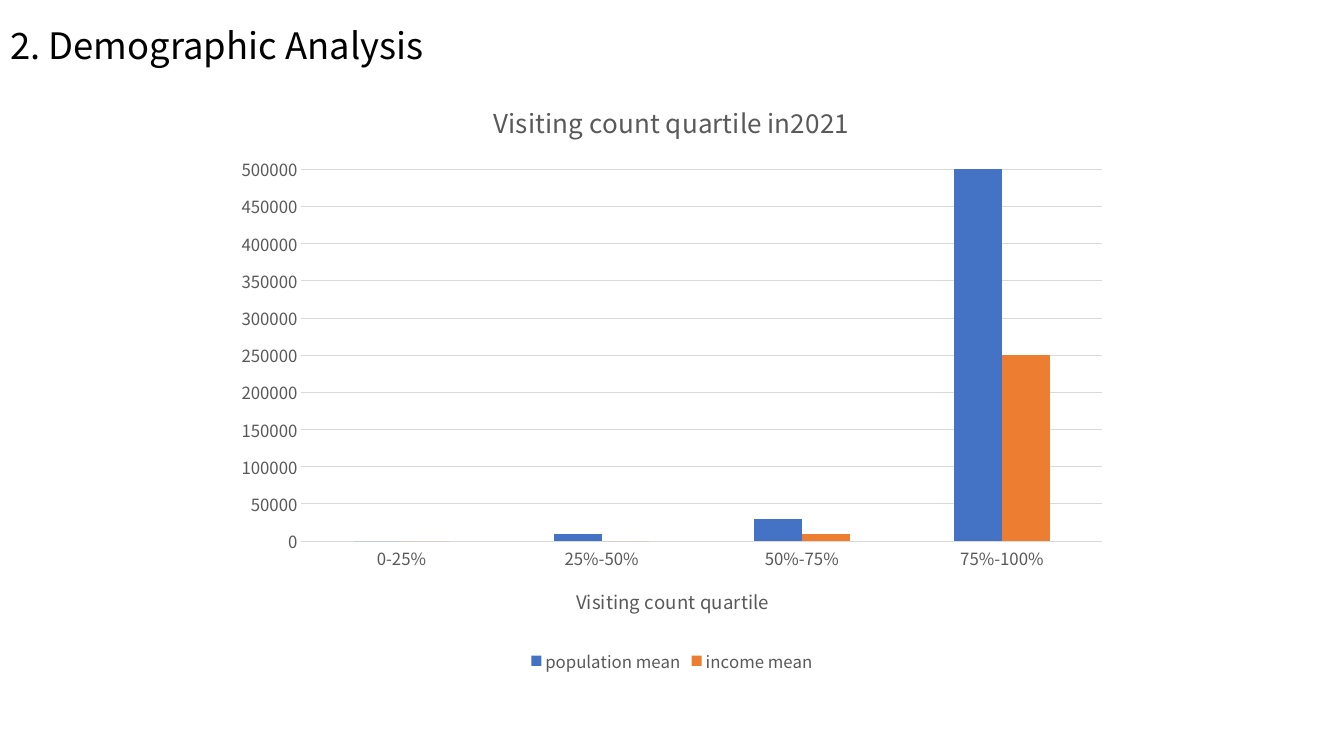
from dataclasses import dataclass

from lxml.etree import SubElement
from pptx import Presentation
from pptx.chart.data import CategoryChartData
from pptx.dml.color import RGBColor
from pptx.enum.chart import XL_CHART_TYPE, XL_LEGEND_POSITION, XL_TICK_MARK
from pptx.enum.text import MSO_ANCHOR, MSO_AUTO_SIZE, PP_ALIGN
from pptx.oxml import parse_xml
from pptx.oxml.ns import nsdecls, qn
from pptx.util import Inches, Pt


@dataclass(frozen=True)
class Theme:
    font: str = "Noto Sans CJK SC"
    black: str = "000000"
    gray: str = "595959"
    rule: str = "D9D9D9"
    series: tuple = ("4472C4", "ED7D31")
    heading: float = 26
    chart_title: float = 18.6
    axis_title: float = 13.3
    label: float = 12


theme = Theme()
CHART_W, CHART_H = 8.89, 5.93


def write(tf, text, size, color=theme.gray, align=None, spacing=None):
    p = tf.paragraphs[0]
    p.alignment, p.line_spacing = align, spacing
    r = p.add_run()
    r.text = text
    r.font.name, r.font.size, r.font.bold = theme.font, Pt(size), False
    r.font.color.rgb = RGBColor.from_string(color)


def place(element, index, **inches):
    """Fix a chart part's layout, given in inches from the chart's corner."""
    for old in element.findall(qn("c:layout")):
        element.remove(old)
    layout = parse_xml(f"<c:layout {nsdecls('c')}/>")
    manual = SubElement(layout, qn("c:manualLayout"))
    if "w" in inches:
        SubElement(manual, qn("c:layoutTarget")).set("val", "inner")
    for mode in ("xMode", "yMode"):
        SubElement(manual, qn(f"c:{mode}")).set("val", "edge")
    for name, value in inches.items():
        whole = CHART_W if name in "xw" else CHART_H
        SubElement(manual, qn(f"c:{name}")).set("val", str(value / whole))
    element.insert(index, layout)


prs = Presentation()
prs.slide_width, prs.slide_height = Inches(13.33), Inches(7.5)
slide = prs.slides.add_slide(prs.slide_layouts[5])

# Heading
title = slide.shapes.title
title.left, title.top = Inches(0), Inches(-0.43)
title.width, title.height = Inches(4.8), Inches(1.8)
tf = title.text_frame
tf.word_wrap, tf.auto_size = True, MSO_AUTO_SIZE.NONE
tf.vertical_anchor = MSO_ANCHOR.MIDDLE
write(tf, "2. Demographic Analysis", theme.heading, color=theme.black,
      align=PP_ALIGN.LEFT, spacing=0.9)

# Chart data
data = CategoryChartData()
data.categories = ["0-25%", "25%-50%", "50%-75%", "75%-100%"]
data.add_series("population mean", [0, 10000, 30000, 500000])
data.add_series("income mean", [0, 0, 10000, 250000])
chart = slide.shapes.add_chart(
    XL_CHART_TYPE.COLUMN_CLUSTERED, Inches(2.22), Inches(0.79),
    Inches(CHART_W), Inches(CHART_H), data).chart
chart.font.name, chart.font.size = theme.font, Pt(theme.label)
chart.font.color.rgb = RGBColor.from_string(theme.gray)

# Columns
plot = chart.plots[0]
plot.gap_width, plot.overlap, plot.vary_by_categories = 219, 0, False
for series, color in zip(plot.series, theme.series):
    series.format.fill.solid()
    series.format.fill.fore_color.rgb = RGBColor.from_string(color)

# Axes
cat_axis, val_axis = chart.category_axis, chart.value_axis
for axis in (cat_axis, val_axis):
    axis.major_tick_mark = axis.minor_tick_mark = XL_TICK_MARK.NONE
val_axis.minimum_scale, val_axis.maximum_scale = 0, 500000
val_axis.major_unit = 50000
val_axis.format.line.fill.background()
for line in (cat_axis.format.line, val_axis.major_gridlines.format.line):
    line.color.rgb = RGBColor.from_string(theme.rule)
    line.width = Pt(0.75)

# Titles and legend
write(chart.chart_title.text_frame, "Visiting count quartile in2021", theme.chart_title)
write(cat_axis.axis_title.text_frame, "Visiting count quartile", theme.axis_title)
chart.has_legend = True
chart.legend.position = XL_LEGEND_POSITION.BOTTOM
chart.legend.include_in_layout = False

chart_xml = chart._chartSpace.find(qn("c:chart"))
plot_xml = chart_xml.find(qn("c:plotArea"))
place(plot_xml, 0, x=0.77, y=0.89, w=7.94, h=3.69)
place(chart_xml.find(qn("c:title")), 1, x=2.63, y=0.15)
place(plot_xml.find(qn("c:catAx")).find(qn("c:title")), 1, x=3.46, y=4.98)

prs.save("out.pptx")
